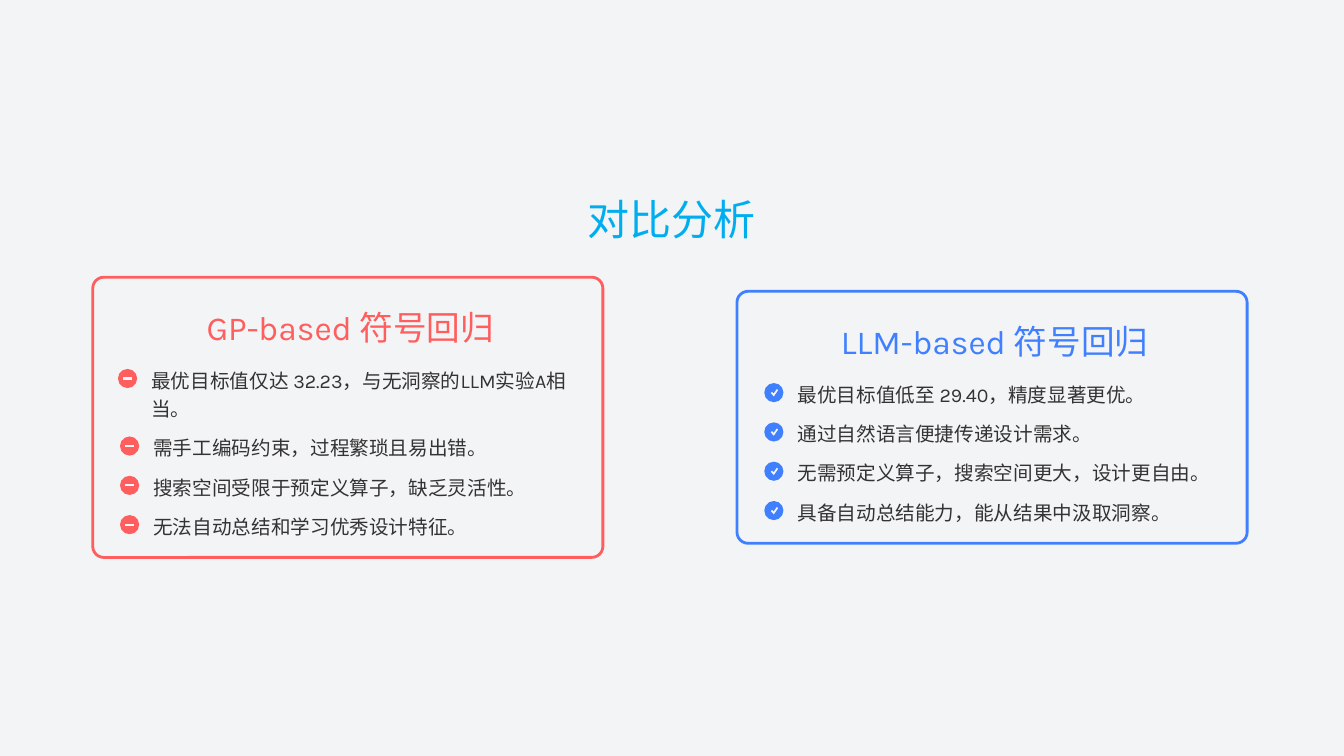
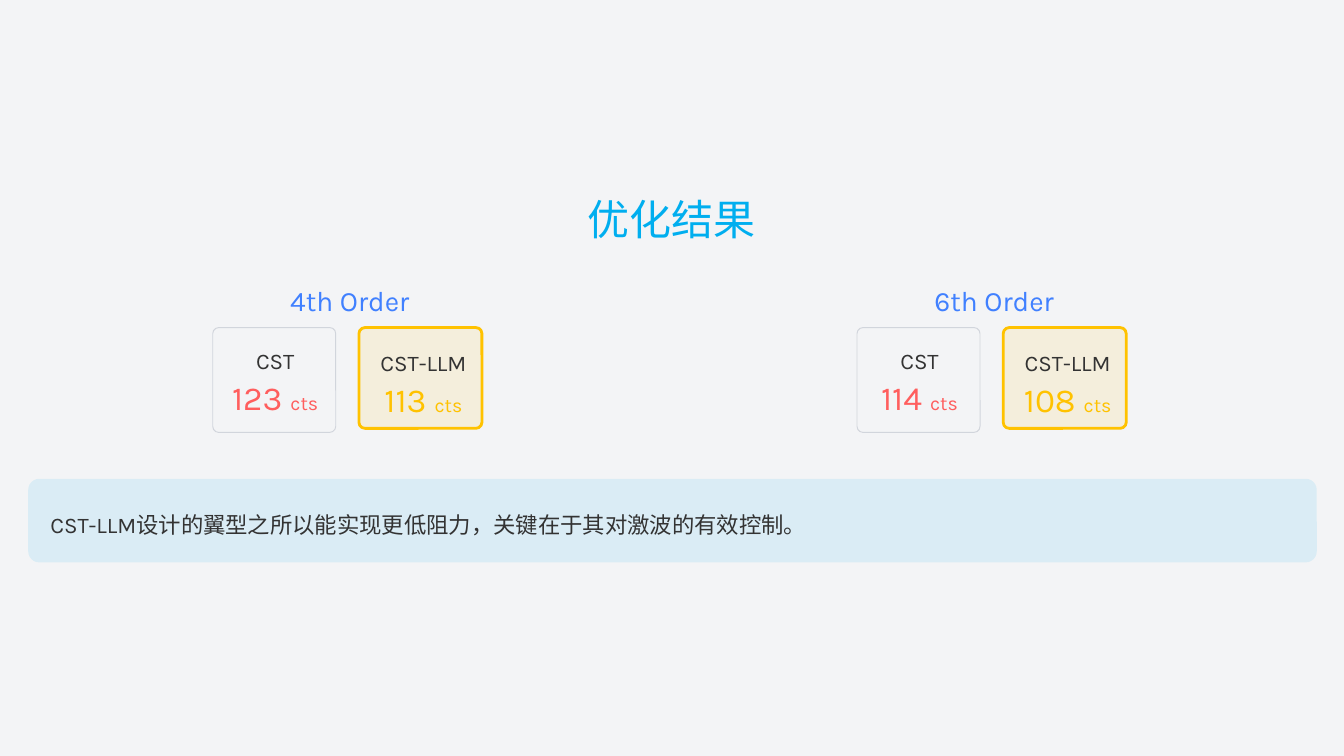
from lxml.etree import SubElement
from pptx import Presentation
from pptx.dml.color import RGBColor
from pptx.enum.shapes import MSO_SHAPE
from pptx.enum.text import MSO_ANCHOR, MSO_AUTO_SIZE, PP_ALIGN
from pptx.oxml.ns import qn
from pptx.util import Inches, Pt

FONT = "Karla"
PAPER, INK, CYAN = "F3F4F6", "333333", "00AEEF"
RED, BLUE, GOLD, GREY = "FF5E5E", "4080FF", "FFC200", "D1D5DC"

COLUMN_STEP = 6.39
MINUS = [(55, 84), (140, 84), (140, 106), (55, 106)]
CHECK = [(125, 60), (137, 72), (95, 133), (65, 100), (77, 88), (93, 105)]

COMPARISON_TITLE = "对比分析"
COMPARISON = [
    ("GP-based 符号回归", RED, MINUS, [
        ("最优目标值仅达 32.23，与无洞察的LLM实验A相当。", 2),
        ("需手工编码约束，过程繁琐且易出错。", 1),
        ("搜索空间受限于预定义算子，缺乏灵活性。", 1),
        ("无法自动总结和学习优秀设计特征。", 1),
    ]),
    ("LLM-based 符号回归", BLUE, CHECK, [
        ("最优目标值低至 29.40，精度显著更优。", 1),
        ("通过自然语言便捷传递设计需求。", 1),
        ("无需预定义算子，搜索空间更大，设计更自由。", 1),
        ("具备自动总结能力，能从结果中汲取洞察。", 1),
    ]),
]

RESULTS_TITLE = "优化结果"
RESULTS = [("4th Order", "123", "113"), ("6th Order", "114", "108")]
CONCLUSION = "CST-LLM设计的翼型之所以能实现更低阻力，关键在于其对激波的有效控制。"

TITLE = {"size": 30, "color": CYAN, "align": PP_ALIGN.CENTER, "spacing": 1.0}
ITEM = {"size": 14, "color": INK, "align": PP_ALIGN.LEFT, "spacing": 1.2}
ORDER = {"size": 20, "color": BLUE, "align": PP_ALIGN.CENTER, "spacing": 1.2}
LABEL = {"size": 16, "color": INK, "align": PP_ALIGN.CENTER, "spacing": 1.3}
FIGURE = {"size": 24, "align": PP_ALIGN.CENTER, "spacing": 1.1}
CLOSING = {**LABEL, "align": PP_ALIGN.LEFT}


def rgb(color):
    return RGBColor.from_string(color)


def write(box, spans, style):
    frame = box.text_frame
    settings = {"word_wrap": True, "auto_size": MSO_AUTO_SIZE.NONE,
                "vertical_anchor": MSO_ANCHOR.MIDDLE, "margin_left": 0,
                "margin_top": 0, "margin_right": 0, "margin_bottom": 0}
    for name, value in settings.items():
        setattr(frame, name, value)
    para = frame.paragraphs[0]
    para.alignment = style["align"]
    para.line_spacing = style["spacing"]
    for text, size in spans:
        span = para.add_run()
        span.text = text
        for name, value in {"name": FONT, "size": Pt(size), "bold": False}.items():
            setattr(span.font, name, value)
        span.font.color.rgb = rgb(style["color"])


def add_text(page, area, text, style):
    box = page.shapes.add_textbox(*map(Inches, area))
    write(box, [(text, style["size"])], style)


def paint(shape, fill=None, alpha=None, line=None, width=0):
    shape.shadow.inherit = False
    if fill:
        shape.fill.solid()
        shape.fill.fore_color.rgb = rgb(fill)
        if alpha:
            color = shape.fill._xPr.find(qn("a:solidFill"))[0]
            SubElement(color, qn("a:alpha"), val=str(alpha * 1000))
    else:
        shape.fill.background()
    if line:
        shape.line.color.rgb = rgb(line)
        shape.line.width = Pt(width)
    else:
        shape.line.fill.background()


def add_panel(page, area, radius, **look):
    panel = page.shapes.add_shape(MSO_SHAPE.ROUNDED_RECTANGLE, *map(Inches, area))
    panel.adjustments[0] = radius / min(area[2:])
    paint(panel, **look)


def add_badge(page, left, top, color, glyph):
    disc = page.shapes.add_shape(
        MSO_SHAPE.OVAL, *map(Inches, (left, top, 0.19, 0.19)))
    paint(disc, fill=color)
    builder = page.shapes.build_freeform(*glyph[0], scale=Inches(1) / 1000)
    builder.add_line_segments(glyph[1:], close=True)
    paint(builder.convert_to_shape(Inches(left), Inches(top)), fill=PAPER)


def add_page(deck, title):
    page = deck.slides.add_slide(deck.slide_layouts[5])
    box = page.shapes.title
    for name, value in {"left": 0, "top": 1.92, "width": 13.33, "height": 0.5}.items():
        setattr(box, name, Inches(value))
    write(box, [(title, TITLE["size"])], TITLE)
    return page


def add_comparison(deck):
    page = add_page(deck, COMPARISON_TITLE)
    line_height, gap, head, foot, middle = 0.28, 0.11, 0.86, 0.19, 4.14
    for column, (heading, color, glyph, items) in enumerate(COMPARISON):
        left = 0.92 + column * COLUMN_STEP
        lines = sum(count for _, count in items)
        height = head + lines * line_height + (len(items) - 1) * gap + foot
        top = middle - height / 2
        add_panel(page, (left, top, 5.06, height), 0.11, line=color, width=2)
        add_text(page, (left - 0.03, top + 0.25, 5.17, 0.44), heading,
                 {"size": 24, "color": color, "align": PP_ALIGN.CENTER, "spacing": 1.1})
        row = top + head
        for text, count in items:
            start = left - 0.02 * (count - 1)
            add_badge(page, start + 0.27, row + 0.05, color, glyph)
            add_text(page, (start + 0.6, row, 4.28, count * line_height), text, ITEM)
            row += count * line_height + gap


def add_results(deck):
    page = add_page(deck, RESULTS_TITLE)
    top = 3.25
    for column, (order, baseline, improved) in enumerate(RESULTS):
        left = 2.11 + column * COLUMN_STEP
        add_text(page, (left - 0.28, 2.75, 3.28, 0.39), order, ORDER)
        cards = [
            ("CST", baseline, RED, 1.04, 0, {"line": GREY, "width": 0.67}),
            ("CST-LLM", improved, GOLD, 1, 0.02,
             {"fill": GOLD, "alpha": 10, "line": GOLD, "width": 2}),
        ]
        for index, (label, value, color, height, inset, look) in enumerate(cards):
            x = left + index * 1.45
            add_panel(page, (x, top, 1.22, height), 0.06, **look)
            add_text(page, (x - 0.16 + inset, top + 0.12 + inset, 1.56, 0.33),
                     label, LABEL)
            area = (x + 0.12 + inset, top + 0.45 + inset, 1, 0.44)
            box = page.shapes.add_textbox(*map(Inches, area))
            write(box, [(value + " ", FIGURE["size"]), ("cts", 14)],
                  {**FIGURE, "color": color})
    add_panel(page, (0.28, 4.75, 12.78, 0.83), 0.11, fill=CYAN, alpha=10)
    add_text(page, (0.5, 4.97, 12.33, 0.39), CONCLUSION, CLOSING)


def main():
    deck = Presentation()
    deck.slide_width, deck.slide_height = Inches(13.33), Inches(7.5)
    backdrop = deck.slide_master.background.fill
    backdrop.solid()
    backdrop.fore_color.rgb = rgb(PAPER)
    add_comparison(deck)
    add_results(deck)
    deck.save("out.pptx")


if __name__ == "__main__":
    main()
